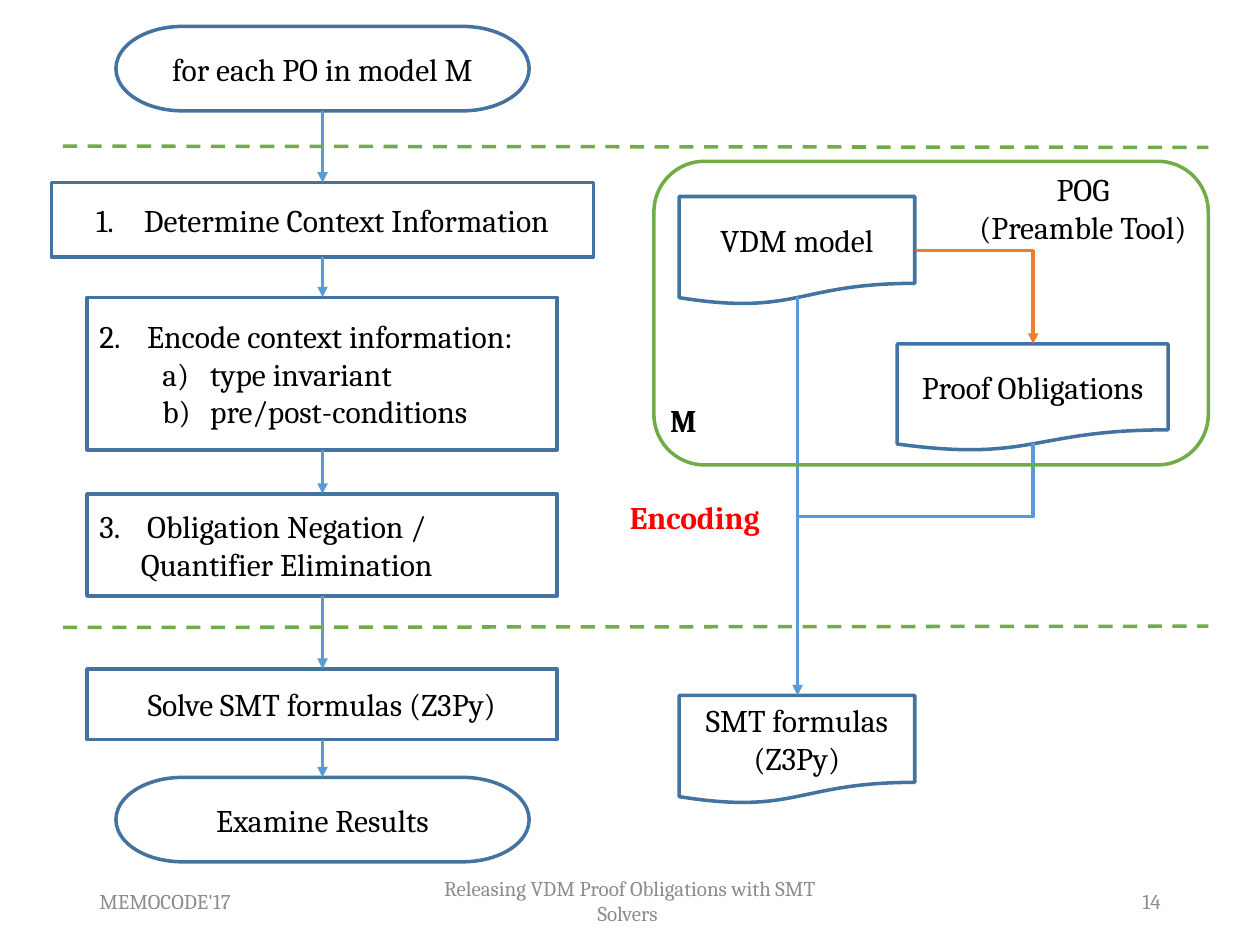
from dataclasses import dataclass
from typing import Optional

import pptx
import pptx.dml.color
import pptx.enum.dml
import pptx.enum.shapes
import pptx.enum.text
import pptx.oxml
import pptx.oxml.ns
import pptx.util

Inches = pptx.util.Inches
Kind = pptx.enum.shapes.MSO_SHAPE
Align = pptx.enum.text.PP_ALIGN
Anchor = pptx.enum.text.MSO_ANCHOR


@dataclass(frozen=True)
class Theme:
    font: str = "Cambria"
    body_size: int = 18
    footer_size: int = 12
    line_width: int = 2
    ink: str = "000000"
    footer: str = "8C8C8C"
    outline: str = "43739E"
    arrow: str = "5B9BD5"
    generate: str = "ED7D31"
    group: str = "70AD47"
    emphasis: str = "FF0000"


THEME = Theme()


@dataclass(frozen=True)
class Line:
    text: str
    align: Align = Align.CENTER
    margin: float = 0
    hanging: float = 0
    numbering: Optional[str] = None
    start: int = 1
    level: int = 0


@dataclass(frozen=True)
class Box:
    kind: Kind
    left: float
    top: float
    width: float
    height: float
    lines: tuple[Line, ...] = ()
    color: str = THEME.outline


@dataclass(frozen=True)
class Label:
    left: float
    top: float
    width: float
    height: float
    lines: tuple[Line, ...]
    color: str = THEME.ink
    size: int = THEME.body_size
    bold: bool = False
    wrap: bool = True
    anchor: Anchor = Anchor.TOP


@dataclass(frozen=True)
class Link:
    start: tuple[float, float]
    end: tuple[float, float]
    color: str = THEME.arrow
    arrow: bool = True
    bent: bool = False
    dashed: bool = False


def step(text: str, number: int, align: Align = Align.LEFT) -> Line:
    return Line(text, align, 0.38, -0.38, "arabicPeriod", number)


def substep(text: str) -> Line:
    return Line(text, Align.LEFT, 0.88, -0.38, "alphaLcParenR", level=1)


def rgb(color: str) -> pptx.dml.color.RGBColor:
    return pptx.dml.color.RGBColor.from_string(color)


def add_child(parent, tag: str, **attributes: str):
    child = pptx.oxml.parse_xml(f"<{tag} {pptx.oxml.ns.nsdecls('a')}/>")
    for name, value in attributes.items():
        child.set(name, value)
    parent.append(child)
    return child


def write_lines(frame, lines: tuple[Line, ...], color: str, size: int, bold: bool = False) -> None:
    for index, line in enumerate(lines):
        paragraph = frame.add_paragraph() if index else frame.paragraphs[0]
        paragraph.alignment = line.align
        paragraph.level = line.level
        properties = paragraph._p.get_or_add_pPr()
        properties.set("marL", str(Inches(line.margin)))
        properties.set("indent", str(Inches(line.hanging)))
        if line.numbering:
            add_child(properties, "a:buAutoNum", type=line.numbering, startAt=str(line.start))
        run = paragraph.add_run()
        run.text = line.text
        run.font.name = THEME.font
        run.font.size = pptx.util.Pt(size)
        run.font.bold = bold
        run.font.color.rgb = rgb(color)


def style_line(line, color: str) -> None:
    line.color.rgb = rgb(color)
    line.width = pptx.util.Pt(THEME.line_width)


def draw_box(slide, box: Box) -> None:
    shape = slide.shapes.add_shape(
        box.kind, Inches(box.left), Inches(box.top), Inches(box.width), Inches(box.height))
    shape.shadow.inherit = False
    shape.fill.background()
    style_line(shape.line, box.color)
    shape.text_frame.word_wrap = True
    shape.text_frame.vertical_anchor = Anchor.MIDDLE
    write_lines(shape.text_frame, box.lines, THEME.ink, THEME.body_size)


def draw_label(slide, label: Label) -> None:
    shape = slide.shapes.add_textbox(
        Inches(label.left), Inches(label.top), Inches(label.width), Inches(label.height))
    shape.text_frame.word_wrap = label.wrap
    shape.text_frame.vertical_anchor = label.anchor
    write_lines(shape.text_frame, label.lines, label.color, label.size, label.bold)


def draw_link(slide, link: Link) -> None:
    connector = slide.shapes.add_connector(
        pptx.enum.shapes.MSO_CONNECTOR.STRAIGHT, *map(Inches, link.start + link.end))
    style_line(connector.line, link.color)
    properties = connector._element.spPr
    if link.bent:
        properties.find(pptx.oxml.ns.qn("a:prstGeom")).set("prst", "bentConnector2")
    if link.dashed:
        connector.line.dash_style = pptx.enum.dml.MSO_LINE.DASH
    if link.arrow:
        add_child(connector.line._get_or_add_ln(), "a:tailEnd", type="triangle")
    add_child(properties, "a:effectLst")


FLOW_CENTER, MODEL_CENTER, PROOF_CENTER = 2.56, 6.33, 8.2
STEP_LEFT, STEP_WIDTH = 0.69, 3.73
FOOTER_TOP, FOOTER_HEIGHT = 6.95, 0.4

FLOW = (
    Box(Kind.FLOWCHART_TERMINATOR, 0.92, 0.21, 3.28, 0.67, (Line("for each PO in model M"),)),
    Box(Kind.FLOWCHART_PROCESS, 0.41, 1.45, 4.3, 0.59,
        (step("Determine Context Information", 1, Align.CENTER),)),
    Box(Kind.FLOWCHART_PROCESS, STEP_LEFT, 2.36, STEP_WIDTH, 1.21,
        (step("Encode context information:", 2), substep("type invariant"),
         substep("pre/post-conditions"))),
    Box(Kind.FLOWCHART_PROCESS, STEP_LEFT, 3.92, STEP_WIDTH, 0.81,
        (step("Obligation Negation /", 3), Line("Quantifier Elimination", Align.LEFT, 0.33))),
    Box(Kind.FLOWCHART_PROCESS, STEP_LEFT, 5.31, STEP_WIDTH, 0.56,
        (Line("Solve SMT formulas (Z3Py)"),)),
    Box(Kind.FLOWCHART_TERMINATOR, 0.92, 6.17, 3.28, 0.67, (Line("Examine Results"),)),
)
DOCUMENTS = (
    Box(Kind.FLOWCHART_DOCUMENT, 7.12, 2.73, 2.15, 0.85, (Line("Proof Obligations"),)),
    Box(Kind.FLOWCHART_DOCUMENT, 5.39, 1.56, 1.87, 0.86, (Line("VDM model"),)),
    Box(Kind.FLOWCHART_DOCUMENT, 5.39, 5.52, 1.87, 0.86,
        (Line("SMT formulas"), Line("(Z3Py)"))),
)
MODEL_GROUP = Box(Kind.FLOWCHART_ALTERNATE_PROCESS, 5.19, 1.28, 4.4, 2.41, color=THEME.group)
FLOW_LINKS = tuple(
    Link((FLOW_CENTER, upper.top + upper.height), (FLOW_CENTER, lower.top))
    for upper, lower in zip(FLOW, FLOW[1:]))
LINKS = FLOW_LINKS + (
    Link((7.27, 1.99), (PROOF_CENTER, 2.73), THEME.generate, bent=True),
    Link((MODEL_CENTER, 2.36), (MODEL_CENTER, 5.52)),
    Link((MODEL_CENTER, 4.1), (PROOF_CENTER, 3.52), arrow=False, bent=True),
    Link((0.5, 4.98), (9.59, 4.97), THEME.group, arrow=False, dashed=True),
    Link((0.5, 1.16), (9.59, 1.17), THEME.group, arrow=False, dashed=True),
)
LABELS = (
    Label(7.59, 1.3, 2.01, 0.71, (Line("POG"), Line("(Preamble Tool)"))),
    Label(4.9, 3.9, 1.43, 0.4, (Line("Encoding", Align.LEFT),), THEME.emphasis,
          bold=True, wrap=False),
    Label(5.22, 3.13, 0.46, 0.4, (Line("M", Align.LEFT),), bold=True, wrap=False),
)
FOOTERS = tuple(
    Label(left, FOOTER_TOP, width, FOOTER_HEIGHT, (Line(text, align),),
          THEME.footer, THEME.footer_size, anchor=Anchor.MIDDLE)
    for left, width, text, align in (
        (0.69, 2.25, "MEMOCODE'17", Align.LEFT),
        (3.31, 3.38, "Releasing VDM Proof Obligations with SMT Solvers ", Align.CENTER),
        (7.06, 2.25, "14", Align.RIGHT),
    ))


def main() -> None:
    presentation = pptx.Presentation()
    presentation.slide_width, presentation.slide_height = Inches(10), Inches(7.5)
    slide = presentation.slides.add_slide(presentation.slide_layouts[6])
    for box in DOCUMENTS + FLOW:
        draw_box(slide, box)
    for link in LINKS:
        draw_link(slide, link)
    draw_box(slide, MODEL_GROUP)
    for label in LABELS + FOOTERS:
        draw_label(slide, label)
    presentation.save("out.pptx")


if __name__ == "__main__":
    main()
